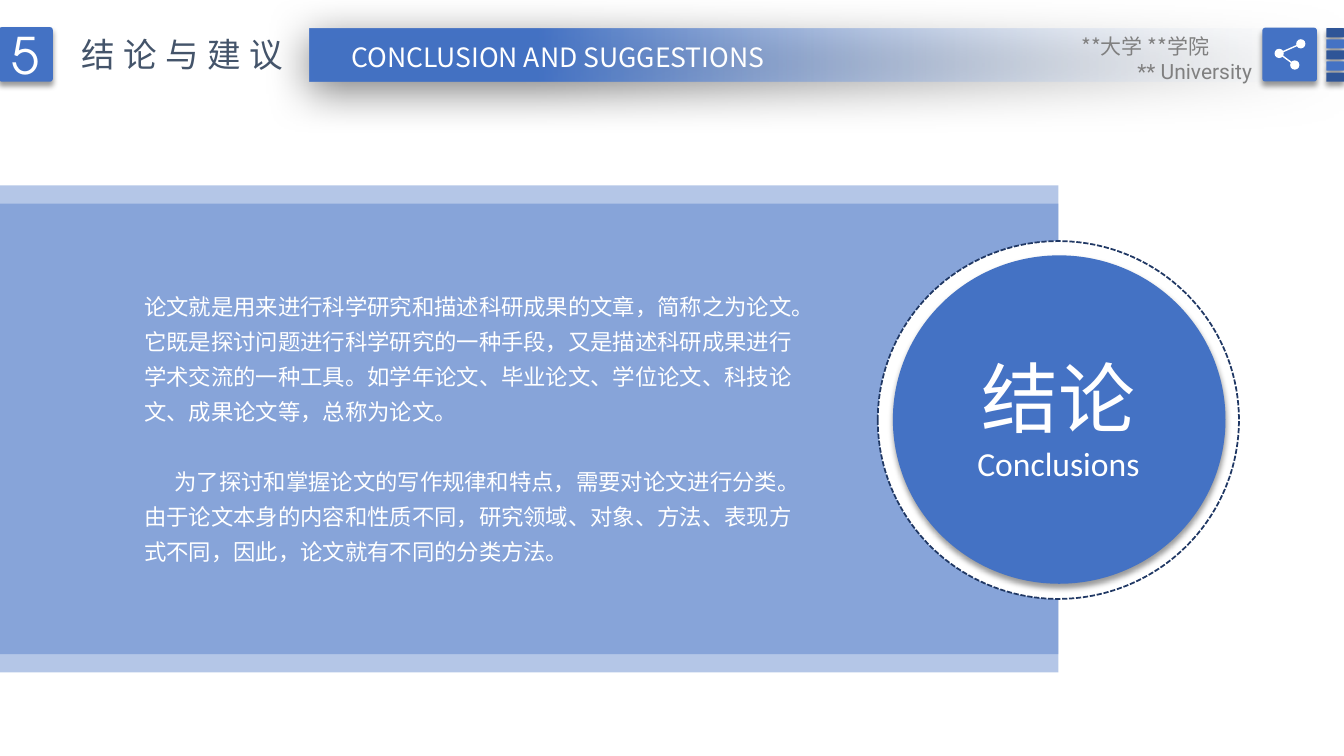
"""Build the conclusion slide of a thesis defence deck."""
from lxml.etree import SubElement
from pptx import Presentation
from pptx.dml.color import RGBColor
from pptx.enum.dml import MSO_LINE
from pptx.enum.shapes import MSO_CONNECTOR, MSO_SHAPE
from pptx.enum.text import MSO_ANCHOR, PP_ALIGN
from pptx.oxml.ns import qn
from pptx.util import Inches, Pt

COLORS = {"blue": "4472C4", "navy": "2F5597", "dash": "203864", "white": "FFFFFF",
          "slate": "44546A", "grey": "808080", "pale": "F7FAFD", "black": "000000"}
CJK = "Noto Sans CJK SC"
SOFT = (40, 4, 3, 90)

prs = Presentation()
prs.slide_width, prs.slide_height = Inches(13.3333), Inches(7.5)
U = prs.slide_width / 160
s = prs.slides.add_slide(prs.slide_layouts[5])


def add(kind, box, fill=None, alpha=None, shadow=None):
    """Add a shape, or a text box when kind is None, at a box in grid cells."""
    place = [round(v * U) for v in box]
    if kind is None:
        return s.shapes.add_textbox(*place)
    sp = s.shapes.add_shape(kind, *place)
    sp.line.fill.background()
    sp.fill.solid()
    sp.fill.fore_color.rgb = RGBColor.from_string(COLORS[fill])
    if alpha is not None:
        clr = sp.fill._xPr.find(".//" + qn("a:srgbClr"))
        SubElement(clr, qn("a:alpha"), val=str(alpha * 1000))
    if kind == MSO_SHAPE.ROUNDED_RECTANGLE:
        sp.adjustments[0] = 0.05
    sp.shadow.inherit = False
    if shadow:
        opacity, blur, dist, angle = shadow
        effects = sp.element.spPr.find(qn("a:effectLst"))
        outer = SubElement(effects, qn("a:outerShdw"), blurRad=str(Pt(blur)),
                           dist=str(Pt(dist)), dir=str(angle * 60000),
                           algn="t", rotWithShape="0")
        clr = SubElement(outer, qn("a:srgbClr"), val=COLORS["black"])
        SubElement(clr, qn("a:alpha"), val=str(opacity * 1000))
    return sp


def write(sp, text, size, color="white", font=CJK, align=PP_ALIGN.LEFT, first=True,
          wrap=True, anchor=MSO_ANCHOR.TOP, margins=(0.1, 0.05), spacing=None,
          before=0, left=0, indent=0, tracking=0):
    """Write one formatted paragraph into a shape."""
    tf = sp.text_frame
    tf.word_wrap, tf.vertical_anchor = wrap, anchor
    tf.margin_left = tf.margin_right = Inches(margins[0])
    tf.margin_top = tf.margin_bottom = Inches(margins[1])
    p = tf.paragraphs[0] if first else tf.add_paragraph()
    p.alignment, p.line_spacing, p.space_before = align, spacing, Pt(before)
    pPr = p._p.get_or_add_pPr()
    pPr.set("marL", str(Inches(left)))
    pPr.set("indent", str(Inches(indent)))
    r = p.add_run()
    r.text = text
    r.font.size, r.font.name = Pt(size), font
    r.font.color.rgb = RGBColor.from_string(COLORS[color])
    rPr = r._r.get_or_add_rPr()
    SubElement(rPr, qn("a:ea"), typeface=font)
    if tracking:
        rPr.set("spc", str(tracking * 100))


for top in (24.24, 22.08):
    add(MSO_SHAPE.RECTANGLE, (0, top, 126, 55.8), "blue", alpha=40)

ring = add(MSO_SHAPE.OVAL, (104.5, 28.7, 43, 42.6), "white")
ring.line.color.rgb = RGBColor.from_string(COLORS["dash"])
ring.line.width = Pt(1.25)
ring.line.dash_style = MSO_LINE.SQUARE_DOT
add(MSO_SHAPE.OVAL, (106.3, 30.4, 39.6, 39.1), "blue", shadow=SOFT)

label = add(None, (113.76, 41, 24.5, 17.2))
centred = dict(align=PP_ALIGN.CENTER, anchor=MSO_ANCHOR.MIDDLE)
write(label, "结论", 55, margins=(0, 0), **centred)
write(label, "Conclusions", 24, font="Calibri", first=False, margins=(0, 0), **centred)

body = add(None, (16, 33.4, 80, 34.8))
write(body, "论文就是用来进行科学研究和描述科研成果的文章，简称之为论文。"
      "它既是探讨问题进行科学研究的一种手段，又是描述科研成果进行学术交流的一种工具。"
      "如学年论文、毕业论文、学位论文、科技论文、成果论文等，总称为论文。", 16, spacing=1.3)
write(body, "为了探讨和掌握论文的写作规律和特点，需要对论文进行分类。"
      "由于论文本身的内容和性质不同，研究领域、对象、方法、表现方式不同，"
      "因此，论文就有不同的分类方法。", 16, first=False, spacing=1.3, before=25, indent=0.3)

bar = add(MSO_SHAPE.RECTANGLE, (36.84, 3.36, 123.16, 6.36), "blue", shadow=(50, 31, 6, 97))
bar.fill.gradient()
bar.fill.gradient_angle = 180
for stop, color, position in zip(bar.fill.gradient_stops, ("pale", "blue"), (0, 0.78)):
    stop.color.rgb = RGBColor.from_string(COLORS[color])
    stop.position = position
clear = bar.element.spPr.find(".//" + qn("a:gs") + "/" + qn("a:srgbClr"))
SubElement(clear, qn("a:alpha"), val="0")

number = add(MSO_SHAPE.ROUNDED_RECTANGLE, (-0.12, 3.24, 6.4, 6.48), "blue", shadow=SOFT)
write(number, "5", 36, font="TeX Gyre Adventor", **centred)

title = s.shapes.title
title.left, title.top, title.width, title.height = [
    round(v * U) for v in (8.52, 3.48, 27.72, 6)]
title.element.getparent().append(title.element)
write(title, "结论与建议", 24, "slate", wrap=False, tracking=6)

english = add(None, (38.64, 4.32, 55.56, 5.04))
write(english, "CONCLUSION AND SUGGESTIONS", 19, wrap=False, align=PP_ALIGN.CENTER)

for i in range(5):
    add(MSO_SHAPE.ROUNDED_RECTANGLE, (157.9, 3.36 + 1.32 * i, 2.1, 1.08),
        "blue" if i % 2 else "navy", shadow=SOFT)

add(MSO_SHAPE.ROUNDED_RECTANGLE, (150.3, 3.3, 6.48, 6.4), "blue", shadow=SOFT)
hub, *ends = (152.28, 6.36), (154.86, 5.22), (154.14, 7.74)
for end in ends:
    link = s.shapes.add_connector(MSO_CONNECTOR.STRAIGHT, *[round(v * U) for v in hub + end])
    link.line.color.rgb = RGBColor.from_string(COLORS["white"])
    link.line.width = Pt(1)
    SubElement(link.element.spPr, qn("a:effectLst"))
for x, y in (hub, *ends):
    add(MSO_SHAPE.OVAL, (x - 0.55, y - 0.55, 1.1, 1.1), "white")

school = add(None, (121.8, 3.36, 28.44, 7.56))
write(school, "**大学 **学院", 15, "grey", left=0.48)
write(school, "** University", 15, "grey", font="Roboto", align=PP_ALIGN.RIGHT, first=False)

prs.save("out.pptx")
